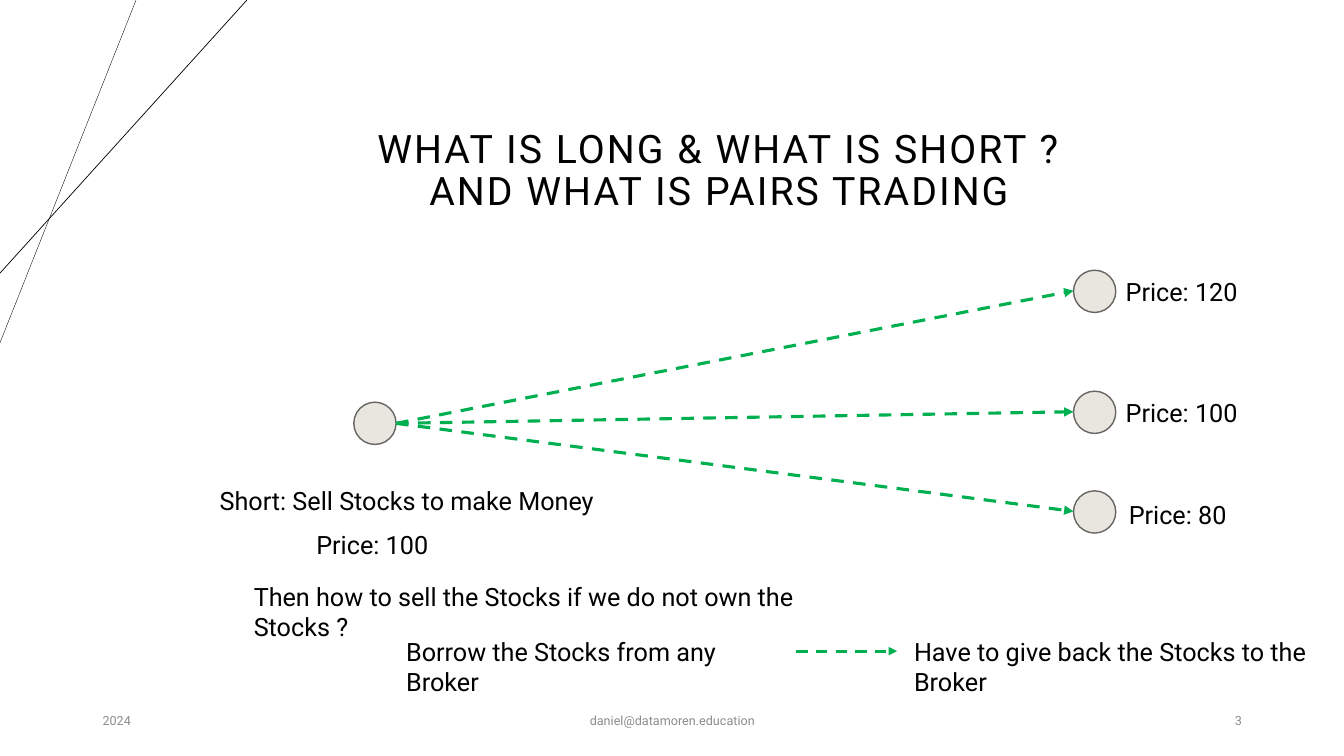
from dataclasses import dataclass

from lxml import etree
from pptx import Presentation
from pptx.dml.color import RGBColor
from pptx.enum.dml import MSO_LINE
from pptx.enum.shapes import MSO_CONNECTOR, MSO_SHAPE
from pptx.enum.text import MSO_ANCHOR, PP_ALIGN
from pptx.oxml.ns import qn
from pptx.util import Pt

DASH = MSO_LINE.DASH
STRAIGHT = MSO_CONNECTOR.STRAIGHT
OVAL = MSO_SHAPE.OVAL
TOP, MIDDLE = MSO_ANCHOR.TOP, MSO_ANCHOR.MIDDLE
LEFT, CENTER, RIGHT = PP_ALIGN.LEFT, PP_ALIGN.CENTER, PP_ALIGN.RIGHT


@dataclass(frozen=True)
class Theme:
    font: str = "Roboto"
    ink: str = "000000"
    muted: str = "8C8C8C"
    arrow: str = "00B050"
    node_fill: str = "E9E6DF"
    node_line: str = "666562"
    title_size: float = 28
    body_size: float = 18
    footer_size: float = 9


THEME = Theme()
NODE_SIZE = 30.2


def rgb(color):
    return RGBColor.from_string(color)


def add_text(slide, text, left, top, width, height=28.8, *, size=THEME.body_size,
             color=THEME.ink, align=LEFT, anchor=TOP, line_spacing=None, tracking=None):
    """Add a wrapped text box; a vertical tab in the text breaks the line."""
    frame = slide.shapes.add_textbox(Pt(left), Pt(top), Pt(width), Pt(height)).text_frame
    frame.word_wrap = True
    frame.vertical_anchor = anchor
    paragraph = frame.paragraphs[0]
    paragraph.text = text
    paragraph.alignment = align
    paragraph.line_spacing = line_spacing
    for run in paragraph.runs:
        run.font.name = THEME.font
        run.font.size = Pt(size)
        run.font.color.rgb = rgb(color)
        if tracking:
            run.font._element.set("spc", str(int(tracking * 100)))


def add_line(slide, start, end, width, color=THEME.ink):
    line = slide.shapes.add_connector(STRAIGHT, *(Pt(value) for value in (*start, *end)))
    line.line.width = Pt(width)
    line.line.color.rgb = rgb(color)
    etree.SubElement(line._element.spPr, qn("a:effectLst"))
    return line


def add_arrow(slide, start, end, width):
    arrow = add_line(slide, start, end, width, THEME.arrow)
    arrow.line.dash_style = DASH
    etree.SubElement(arrow.line._get_or_add_ln(), qn("a:tailEnd"), type="triangle")


def add_node(slide, left, top):
    node = slide.shapes.add_shape(OVAL, Pt(left), Pt(top), Pt(NODE_SIZE), Pt(NODE_SIZE))
    node.shadow.inherit = False
    node.fill.solid()
    node.fill.fore_color.rgb = rgb(THEME.node_fill)
    node.line.color.rgb = rgb(THEME.node_line)
    node.line.width = Pt(1)


def add_price_paths(slide):
    """Draw the starting price and an arrow to each possible later price."""
    start_left, start_top, end_left = 252.7, 287.3, 766.8
    radius = NODE_SIZE / 2
    start = (start_left + NODE_SIZE, start_top + radius)
    add_node(slide, start_left, start_top)
    outcomes = [("Price: 120", 193, 797, 193.7),
                ("Price: 100", 279.4, 797, 280.1),
                ("Price: 80", 350.6, 799.2, 352.8)]
    for price, node_top, label_left, label_top in outcomes:
        add_node(slide, end_left, node_top)
        add_arrow(slide, start, (end_left, node_top + radius - 0.4), 2.25)
        add_text(slide, price, label_left, label_top, 151.2)


def main():
    deck = Presentation()
    deck.slide_width, deck.slide_height = Pt(960), Pt(540)
    slide = deck.slides.add_slide(deck.slide_layouts[6])

    # Corner lines
    add_line(slide, (97.2, 0), (0, 244.8), 0.25)
    add_line(slide, (176.4, 0), (0, 195.1), 0.5)

    # Title
    add_text(slide, "WHAT IS LONG & WHAT IS SHORT ?\vAND WHAT IS PAIRS TRADING",
             148.3, 70.6, 730.8, 104.4, size=THEME.title_size, align=CENTER,
             anchor=MIDDLE, line_spacing=0.9, tracking=1.5)

    # Price diagram
    add_price_paths(slide)

    # Explanation of short selling
    for statement, left, top, width in [
        ("Short: Sell Stocks to make Money", 149.8, 343.4, 324),
        ("Price: 100", 218.9, 374.8, 151.2),
        ("Then how to sell the Stocks if we do not own the Stocks ?", 174.2, 411.8, 467.3),
        ("Borrow the Stocks from any Broker", 283, 450.7, 285.8),
        ("Have to give back the Stocks to the Broker", 645.8, 450.7, 301.7),
    ]:
        add_text(slide, statement, left, top, width)
    add_arrow(slide, (568.8, 465.1), (640.8, 465.1), 2)

    # Footer
    for note, left, width, align in [
        ("2024", 66.2, 216, LEFT),
        ("daniel@datamoren.education", 318.2, 324, CENTER),
        ("3", 678.2, 216, RIGHT),
    ]:
        add_text(slide, note, left, 500.4, width, size=THEME.footer_size,
                 color=THEME.muted, align=align, anchor=MIDDLE)

    deck.save("out.pptx")


if __name__ == "__main__":
    main()
